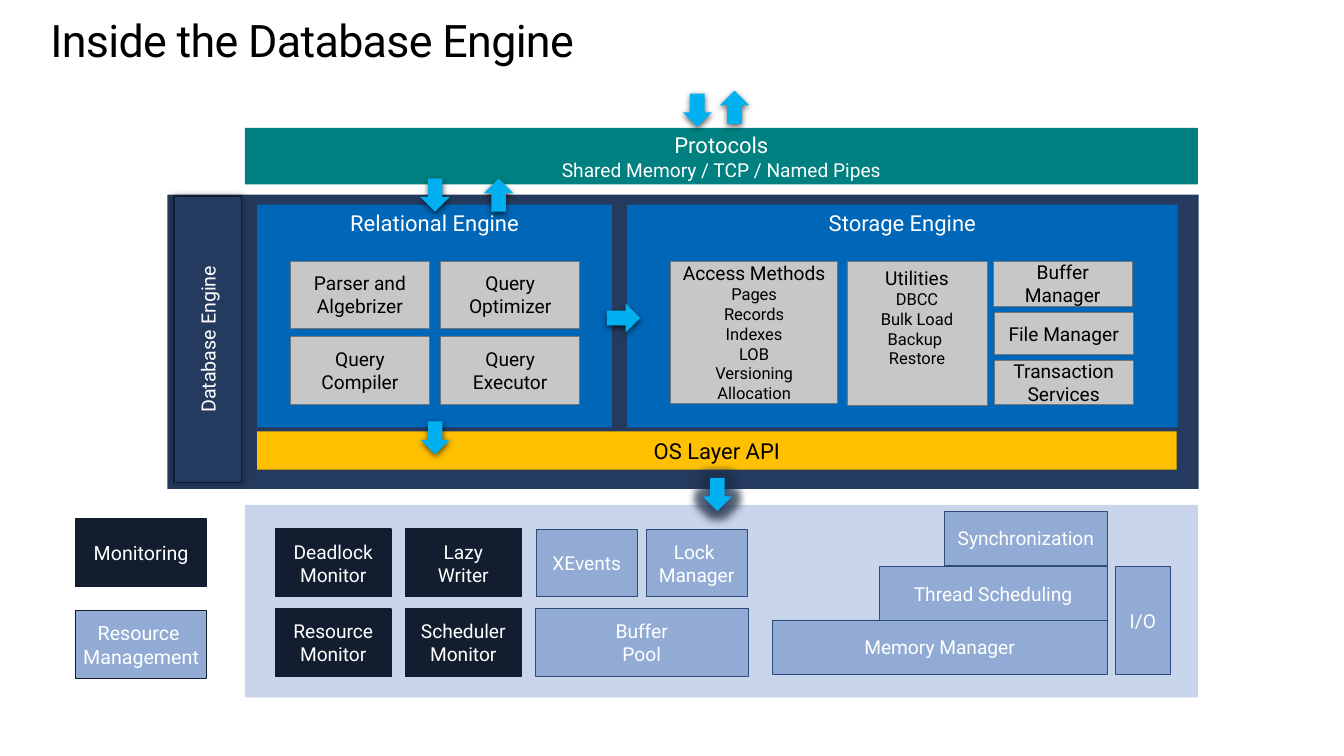
from lxml import etree
from pptx import Presentation
from pptx.dml.color import RGBColor
from pptx.enum.shapes import MSO_SHAPE
from pptx.enum.text import MSO_ANCHOR, MSO_AUTO_SIZE, PP_ALIGN
from pptx.oxml.ns import qn
from pptx.util import Inches, Pt

FONT = "Roboto"
BLACK = RGBColor(0x00, 0x00, 0x00)
WHITE = RGBColor(0xFF, 0xFF, 0xFF)
NAVY = RGBColor(0x24, 0x3A, 0x5E)
DARK = RGBColor(0x12, 0x1D, 0x2F)
PALE = RGBColor(0xC8, 0xD5, 0xEA)
PERIWINKLE = RGBColor(0x91, 0xAB, 0xD5)
EDGE = RGBColor(0x2F, 0x4B, 0x79)
GOLD = RGBColor(0xFF, 0xC0, 0x00)
TEAL = RGBColor(0x00, 0x80, 0x80)
BLUE = RGBColor(0x00, 0x67, 0xB8)
GRAY = RGBColor(0xC7, 0xC7, 0xC7)
GRAY_EDGE = RGBColor(0x73, 0x73, 0x73)
SKY = RGBColor(0x00, 0xB0, 0xF0)

prs = Presentation()
prs.slide_width, prs.slide_height = Inches(13.33), Inches(7.5)
s = prs.slides.add_slide(prs.slide_layouts[5])


def add_block(text, x, y, w, h, fill, line=None, line_width=0.5, size=13.7, small=None,
              color=WHITE, anchor=MSO_ANCHOR.MIDDLE, wrap=False, shape=MSO_SHAPE.RECTANGLE,
              rotation=0):
    """Add a filled shape; lines of text after the first take the small size."""
    sp = s.shapes.add_shape(shape, Inches(x), Inches(y), Inches(w), Inches(h))
    sp.shadow.inherit = False
    sp.rotation = rotation
    sp.fill.solid()
    sp.fill.fore_color.rgb = fill
    if line is None:
        sp.line.fill.background()
    else:
        sp.line.color.rgb = line
        sp.line.width = Pt(line_width)
    tf = sp.text_frame
    tf.word_wrap = wrap
    tf.vertical_anchor = anchor
    if text:
        for i, words in enumerate(text.split("\n")):
            p = tf.paragraphs[0] if i == 0 else tf.add_paragraph()
            p.alignment = PP_ALIGN.CENTER
            r = p.add_run()
            r.text = words
            r.font.name = FONT
            r.font.size = Pt(small if small and i else size)
            r.font.color.rgb = color
    return sp


def add_effect(sp, kind, color, alpha, **lengths):
    """Append a glow or an outer shadow to the shape's effect list."""
    effects = sp._element.spPr.find(qn("a:effectLst"))
    effect = etree.SubElement(effects, qn("a:" + kind),
                              {name: str(int(value)) for name, value in lengths.items()})
    clr = etree.SubElement(effect, qn("a:srgbClr"), val=str(color))
    etree.SubElement(clr, qn("a:alpha"), val=str(alpha * 1000))


# Title
title = s.shapes.title
title.left, title.top, title.width, title.height = (Inches(v) for v in (0.5, 0.16, 11.9, 0.5))
tf = title.text_frame
tf.margin_left = tf.margin_right = tf.margin_top = tf.margin_bottom = 0
tf.word_wrap = True
tf.auto_size = MSO_AUTO_SIZE.SHAPE_TO_FIT_TEXT
tf.vertical_anchor = MSO_ANCHOR.TOP
p = tf.paragraphs[0]
p.alignment = PP_ALIGN.LEFT
p.line_spacing = Pt(36.2)
r = p.add_run()
r.text = "Inside the Database Engine"
r.font.name, r.font.size, r.font.color.rgb = FONT, Pt(32), BLACK
r._r.get_or_add_rPr().set("spc", "-50")

# Background panels and layers
add_block("", 1.66, 1.93, 10.23, 2.92, NAVY)
add_block("", 2.43, 5.01, 9.45, 1.91, PALE)
add_block("OS Layer API", 2.55, 4.28, 9.12, 0.38, GOLD, size=15.7, color=BLACK)
add_block("Protocols\nShared Memory / TCP / Named Pipes", 2.43, 1.27, 9.45, 0.56, TEAL,
          size=15.7, small=13.7)
for name, x, w in [("Relational Engine", 2.55, 3.52), ("Storage Engine", 6.22, 5.46)]:
    add_block(name, x, 2.03, w, 2.21, BLUE, size=15.7, anchor=MSO_ANCHOR.TOP)

# Relational engine parts, two by two
relational = ["Parser and Algebrizer", "Query Optimizer", "Query Compiler", "Query Executor"]
for i, name in enumerate(relational):
    add_block(name, 2.88 + i % 2 * 1.49, 2.59 + i // 2 * 0.75, 1.38, 0.67, GRAY, GRAY_EDGE,
              color=BLACK, wrap=True)

# Storage engine parts
storage = [
    ("Transaction Services", 9.86, 3.58, 1.38, 0.43, MSO_ANCHOR.MIDDLE),
    ("File Manager", 9.86, 3.1, 1.38, 0.42, MSO_ANCHOR.MIDDLE),
    ("Buffer Manager", 9.85, 2.59, 1.38, 0.45, MSO_ANCHOR.MIDDLE),
    ("Access Methods\nPages\nRecords\nIndexes\nLOB\nVersioning\nAllocation",
     6.65, 2.59, 1.66, 1.41, MSO_ANCHOR.MIDDLE),
    ("Utilities\nDBCC\nBulk Load\nBackup \nRestore", 8.4, 2.59, 1.39, 1.43, MSO_ANCHOR.TOP),
]
for name, x, y, w, h, anchor in storage:
    add_block(name, x, y, w, h, GRAY, GRAY_EDGE, small=11.8, color=BLACK, anchor=anchor,
              wrap=True)

# Resource management parts
resources = [
    ("Thread Scheduling", 8.72, 5.62, 2.26, 0.54),
    ("Memory Manager", 7.66, 6.15, 3.32, 0.54),
    ("Synchronization", 9.37, 5.07, 1.61, 0.54),
    ("Buffer\nPool", 5.31, 6.04, 2.11, 0.67),
    ("I/O", 11.06, 5.62, 0.55, 1.07),
    ("Lock \nManager", 6.41, 5.25, 1, 0.67),
    ("XEvents", 5.32, 5.25, 1, 0.67),
]
for name, x, y, w, h in resources:
    add_block(name, x, y, w, h, PERIWINKLE, EDGE)

# Monitoring parts, two by two
monitors = ["Deadlock\nMonitor", "Lazy\nWriter", "Resource\nMonitor", "Scheduler\nMonitor"]
for i, name in enumerate(monitors):
    add_block(name, 2.73 + i % 2 * 1.29, 5.25 + i // 2 * 0.79, 1.15, 0.67, DARK, DARK, 1)

# Legend
for name, y, fill in [("Monitoring", 5.15, DARK), ("Resource \nManagement", 6.06, PERIWINKLE)]:
    add_block(name, 0.75, y, 1.3, 0.67, fill, DARK, 1, size=14)

# Side label
label = add_block("Database Engine", 0.64, 3.03, 2.84, 0.67, NAVY, DARK, 1, size=14, rotation=270)
add_effect(label, "outerShdw", BLACK, 40, blurRad=Pt(5), dist=0, dir=0)

# Flow arrows; the last one, into the resource layer, also glows
arrows = [(6.77, 0.93, 0), (7.14, 0.9, 180), (4.17, 1.77, 0), (4.8, 1.77, 180),
          (6.04, 2.99, 270), (4.17, 4.18, 0), (6.97, 4.74, 0)]
for x, y, turn in arrows:
    arrow = add_block("", x, y, 0.29, 0.33, SKY, shape=MSO_SHAPE.DOWN_ARROW, rotation=turn)
    if (x, y, turn) == arrows[-1]:
        add_effect(arrow, "glow", NAVY, 60, rad=Pt(10))
    add_effect(arrow, "outerShdw", BLACK, 63, blurRad=Pt(4.5), dist=Pt(1.5), dir=90 * 60000)

prs.save("out.pptx")
